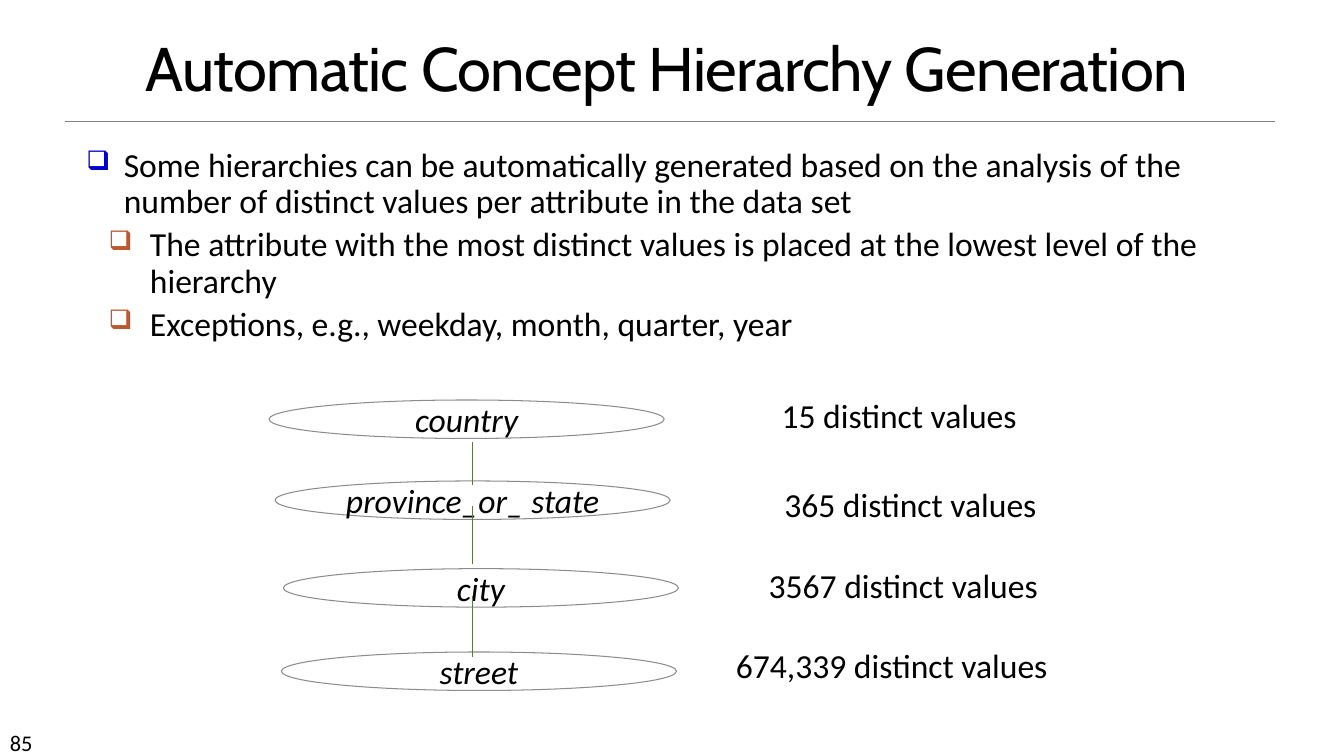
"""Build the slide on automatic concept hierarchy generation."""
import pptx
import pptx.util
import pptx.dml.color
import pptx.enum.shapes
import pptx.enum.text
import pptx.oxml
import pptx.oxml.ns
from pptx.util import Cm, Pt

RGBColor = pptx.dml.color.RGBColor
ALIGN = pptx.enum.text.PP_ALIGN
ANCHOR = pptx.enum.text.MSO_ANCHOR
BLACK = RGBColor(0, 0, 0)
RULE_GRAY = RGBColor(0x80, 0x80, 0x80)
OVAL_GRAY = RGBColor(0x8C, 0x8C, 0x8C)
LINK_GREEN = RGBColor(0x63, 0x70, 0x52)
BULLET_BLUE = RGBColor(0x00, 0x00, 0xCC)
BULLET_RUST = RGBColor(0xBD, 0x58, 0x2C)

HEADING = "Automatic Concept Hierarchy Generation"
PAGE = "85"
POINTS = [
    (0, "Some hierarchies can be automatically generated based on the analysis of the "
        "number of distinct values per attribute in the data set"),
    (1, "The attribute with the most distinct values is placed at the lowest level of the hierarchy"),
    (1, "Exceptions, e.g., weekday, month, quarter, year"),
]
POINT_LEVELS = [(0.94, 0.94, BULLET_BLUE), (1.6, 1.04, BULLET_RUST)]

# attribute, oval left and top, count, count left, top and width
HIERARCHY = [
    ("country", 6.78, 10.08, "15 distinct values", 19.41, 9.83, 6.5),
    ("province_or_ state", 6.93, 12.12, "365 distinct values", 19.48, 12.07, 6.93),
    ("city", 7.14, 14.33, "3567 distinct values", 19.08, 14.12, 7.37),
    ("street", 7.09, 16.43, "674,339 distinct values", 18.26, 16.13, 8.43),
]
OVAL_WIDTH, OVAL_HEIGHT = 9.96, 0.97
COUNT_HEIGHT = 1.3
LINK_X = 11.91
LINK_SPANS = [(11.15, 12.22), (12.75, 14.22), (15.01, 16.56)]


def add_run(paragraph, words, size=24, face="Calibri", italic=None):
    run = paragraph.add_run()
    run.text = words
    run.font.size = Pt(size)
    run.font.name = face
    run.font.italic = italic
    run.font.color.rgb = BLACK
    return run


def add_box(slide, left, top, width, height):
    frame = slide.shapes.add_textbox(Cm(left), Cm(top), Cm(width), Cm(height)).text_frame
    frame.word_wrap = True
    return frame


def add_line(slide, start, end, color, weight):
    line = slide.shapes.add_connector(
        pptx.enum.shapes.MSO_CONNECTOR.STRAIGHT, *(Cm(v) for v in start + end))
    line.line.color.rgb = color
    line.line.width = Pt(weight)
    line._element.spPr.append(pptx.oxml.ns.qn and pptx.oxml.parse_xml(
        f"<a:effectLst {pptx.oxml.ns.nsdecls('a')}/>"))


def set_bullet(paragraph, margin, hanging, color):
    properties = paragraph._p.get_or_add_pPr()
    properties.set("marL", str(Cm(margin)))
    properties.set("indent", str(-Cm(hanging)))
    space = pptx.oxml.ns.nsdecls("a")
    for markup in (
        f'<a:buClr {space}><a:srgbClr val="{color}"/></a:buClr>',
        f'<a:buSzPct {space} val="80000"/>',
        f'<a:buChar {space} char="❑"/>',
    ):
        properties.append(pptx.oxml.parse_xml(markup))


def add_heading(slide):
    title = slide.shapes.title
    title.left, title.top, title.width, title.height = Cm(1.35), Cm(0.84), Cm(30.91), Cm(1.9)
    frame = title.text_frame
    frame.auto_size = pptx.enum.text.MSO_AUTO_SIZE.NONE
    frame.vertical_anchor = ANCHOR.BOTTOM
    paragraph = frame.paragraphs[0]
    paragraph.alignment = ALIGN.CENTER
    paragraph.line_spacing = 0.85
    run = add_run(paragraph, HEADING, 44, "Cabin")
    run.font._element.set("spc", "-50")


def add_points(slide):
    frame = add_box(slide, 1.93, 3.61, 29.64, 6.35)
    for index, (level, words) in enumerate(POINTS):
        paragraph = frame.add_paragraph() if index else frame.paragraphs[0]
        paragraph.level = level
        paragraph.line_spacing = 0.9
        if index:
            paragraph.space_before = Pt(5)
        set_bullet(paragraph, *POINT_LEVELS[level])
        add_run(paragraph, words)


def add_hierarchy(slide):
    for attribute, left, top, count, count_left, count_top, count_width in HIERARCHY:
        oval = slide.shapes.add_shape(
            pptx.enum.shapes.MSO_SHAPE.OVAL, Cm(left), Cm(top), Cm(OVAL_WIDTH), Cm(OVAL_HEIGHT))
        oval.shadow.inherit = False
        oval.fill.background()
        oval.line.color.rgb = OVAL_GRAY
        oval.line.width = Pt(0.75)
        oval.text_frame.word_wrap = False
        oval.text_frame.vertical_anchor = ANCHOR.MIDDLE
        tally = add_box(slide, count_left, count_top, count_width, COUNT_HEIGHT)
        for frame, words, italic in ((oval.text_frame, attribute, True), (tally, count, None)):
            frame.paragraphs[0].alignment = ALIGN.CENTER
            add_run(frame.paragraphs[0], words, italic=italic)
    for start, end in LINK_SPANS:
        add_line(slide, (LINK_X, start), (LINK_X, end), LINK_GREEN, 0.75)


def main():
    deck = pptx.Presentation()
    deck.slide_width, deck.slide_height = Cm(33.87), Cm(19.05)
    slide = deck.slides.add_slide(deck.slide_layouts[5])
    add_line(slide, (1.65, 3.05), (32.13, 3.05), RULE_GRAY, 0.5)
    add_run(add_box(slide, 0, 18.24, 2.97, 0.76).paragraphs[0], PAGE, 16)
    add_heading(slide)
    add_points(slide)
    add_hierarchy(slide)
    deck.save("out.pptx")


if __name__ == "__main__":
    main()
